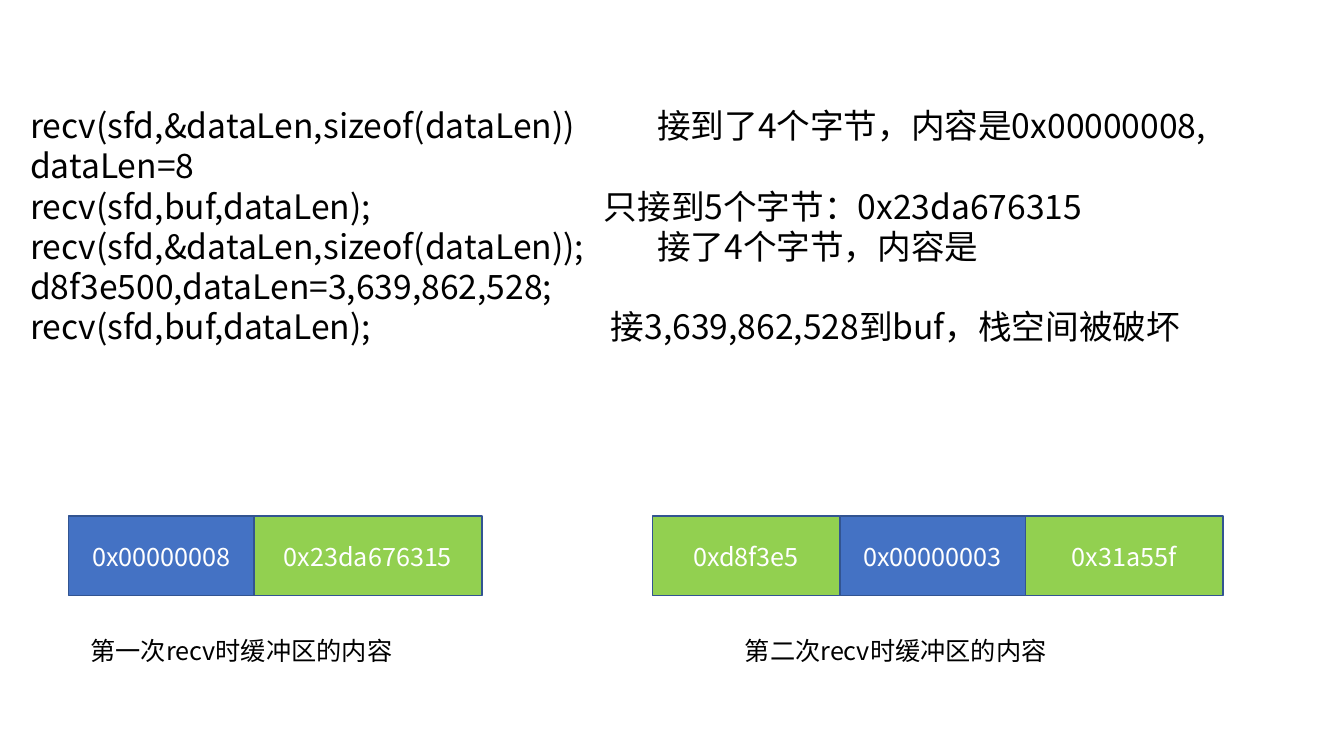
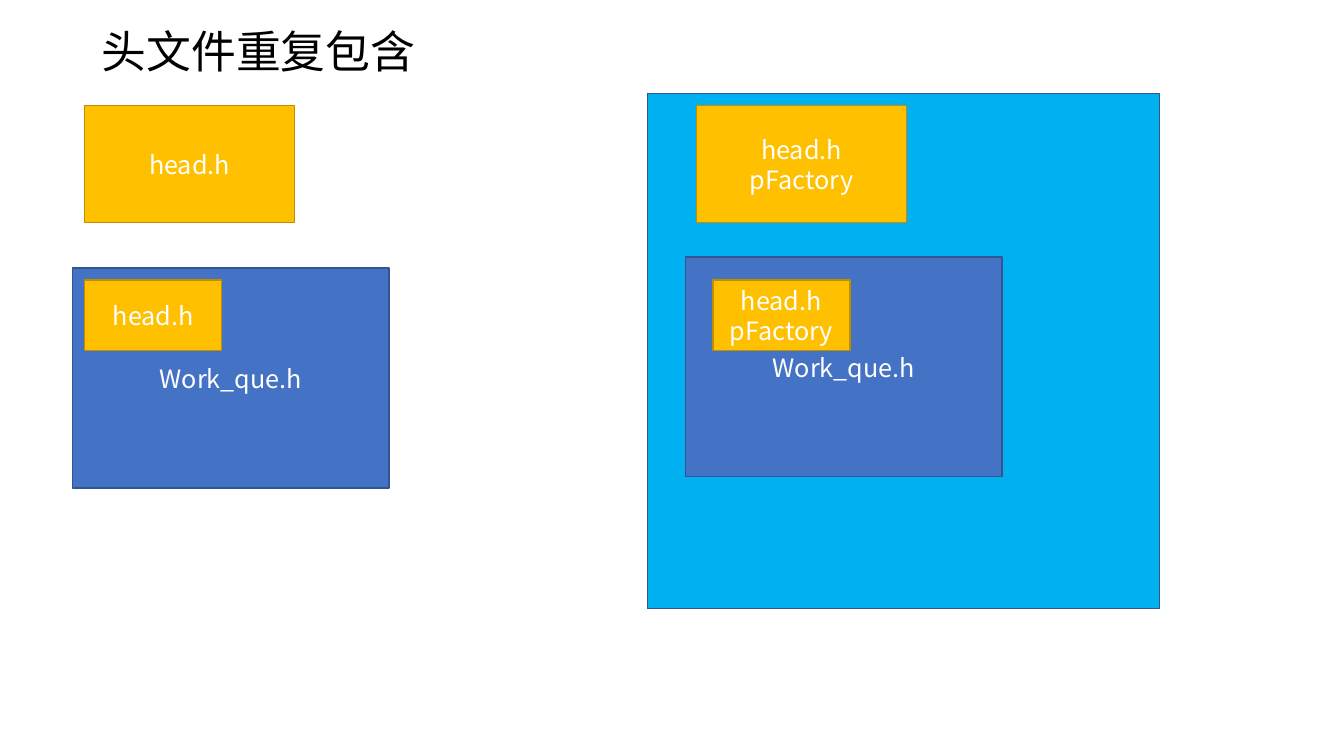
from dataclasses import dataclass

from lxml import etree
from pptx import Presentation
from pptx import util as u
from pptx.dml.color import RGBColor
from pptx.enum import shapes, text
from pptx.oxml import ns
from pptx.slide import Slide
from pptx.text.text import TextFrame

FONT = "Noto Sans CJK SC"
COLORS = {
    "blue": "4472C4",
    "green": "92D050",
    "gold": "FFC000",
    "sky": "00B0F0",
    "blue_edge": "325491",
    "gold_edge": "BD8E00",
    "white": "FFFFFF",
    "black": "000000",
}


@dataclass(frozen=True)
class Block:
    label: str
    fill: str
    left: float
    top: float
    width: float
    height: float


@dataclass(frozen=True)
class Caption:
    wording: str
    left: float
    top: float
    width: float
    height: float
    size: int = 18


@dataclass(frozen=True)
class Call:
    code: str
    result: str
    tab: float


def color(name: str) -> RGBColor:
    return RGBColor.from_string(COLORS[name])


def style_text(frame: TextFrame, size: int, ink: str, align: text.PP_ALIGN) -> None:
    frame.word_wrap = True
    for paragraph in frame.paragraphs:
        paragraph.alignment = align
        for run in paragraph.runs:
            run.font.size = u.Pt(size)
            run.font.name = FONT
            run.font.color.rgb = color(ink)
            east_asian = etree.SubElement(run.font._element, ns.qn("a:ea"))
            east_asian.set("typeface", FONT)


def draw_block(slide: Slide, block: Block) -> None:
    area = map(u.Inches, (block.left, block.top, block.width, block.height))
    box = slide.shapes.add_shape(shapes.MSO_SHAPE.RECTANGLE, *area)
    box.shadow.inherit = False
    box.fill.solid()
    box.fill.fore_color.rgb = color(block.fill)
    box.line.color.rgb = color("gold_edge" if block.fill == "gold" else "blue_edge")
    box.line.width = u.Pt(1)
    if block.label:
        box.text_frame.text = block.label
        box.text_frame.vertical_anchor = text.MSO_ANCHOR.MIDDLE
        style_text(box.text_frame, 18, "white", text.PP_ALIGN.CENTER)


def draw_caption(slide: Slide, caption: Caption) -> TextFrame:
    area = map(u.Inches, (caption.left, caption.top, caption.width, caption.height))
    frame = slide.shapes.add_textbox(*area).text_frame
    frame.text = caption.wording
    style_text(frame, caption.size, "black", text.PP_ALIGN.LEFT)
    return frame


def draw_calls(slide: Slide, calls: list[Call]) -> None:
    wording = "\n".join(f"{call.code}\t{call.result}" for call in calls)
    frame = draw_caption(slide, Caption(wording, 0.2, 0.99, 12.55, 2.52, 24))
    for paragraph, call in zip(frame.paragraphs, calls):
        stops = etree.SubElement(paragraph._p.get_or_add_pPr(), ns.qn("a:tabLst"))
        stop = etree.SubElement(stops, ns.qn("a:tab"))
        stop.set("pos", str(u.Inches(call.tab)))
        stop.set("algn", "l")


def draw_buffer(slide: Slide, left: float, cells: list[tuple[str, str, float]]) -> None:
    for label, fill, width in cells:
        draw_block(slide, Block(label, fill, left, 5.12, width, 0.79))
        left += width


def header(label: str, left: float) -> Block:
    return Block(label, "gold", left, 1.05, 2.08, 1.16)


def work_queue(left: float, top: float) -> Block:
    return Block("Work_que.h", "blue", left, top, 3.14, 2.18)


def nested_header(label: str, left: float) -> Block:
    return Block(label, "gold", left, 2.78, 1.36, 0.7)


def build_recv_slide(slide: Slide) -> None:
    draw_buffer(slide, 0.68, [
        ("0x00000008", "blue", 1.84),
        ("0x23da676315", "green", 2.26),
    ])
    draw_buffer(slide, 6.47, [
        ("0xd8f3e5", "green", 1.86),
        ("0x00000003", "blue", 1.84),
        ("0x31a55f", "green", 1.96),
    ])
    for ordinal, left in (("一", 0.8), ("二", 7.29)):
        wording = f"第{ordinal}次recv时缓冲区的内容"
        draw_caption(slide, Caption(wording, left, 6.25, 4.84, 0.4))
    draw_calls(slide, [
        Call("recv(sfd,&dataLen,sizeof(dataLen))",
             "接到了4个字节，内容是0x00000008, dataLen=8", 6.22),
        Call("recv(sfd,buf,dataLen);", "只接到5个字节：0x23da676315", 5.69),
        Call("recv(sfd,&dataLen,sizeof(dataLen));",
             "接了4个字节，内容是d8f3e500,dataLen=3,639,862,528;", 6.22),
        Call("recv(sfd,buf,dataLen);",
             "接3,639,862,528到buf，栈空间被破坏", 5.76),
    ])


def build_include_slide(slide: Slide) -> None:
    expanded = "head.h\npFactory"
    for block in (
        header("head.h", 0.84),
        work_queue(0.72, 2.66),
        nested_header("head.h", 0.84),
        Block("", "sky", 6.42, 0.93, 5.08, 5.11),
        header(expanded, 6.91),
        work_queue(6.8, 2.55),
        nested_header(expanded, 7.07),
    ):
        draw_block(slide, block)
    draw_caption(slide, Caption("头文件重复包含", 0.91, 0.19, 4.32, 0.64, 32))


def main() -> None:
    deck = Presentation()
    deck.slide_width, deck.slide_height = u.Inches(13.33), u.Inches(7.5)
    for build in (build_recv_slide, build_include_slide):
        build(deck.slides.add_slide(deck.slide_layouts[6]))
    deck.save("out.pptx")


main()
